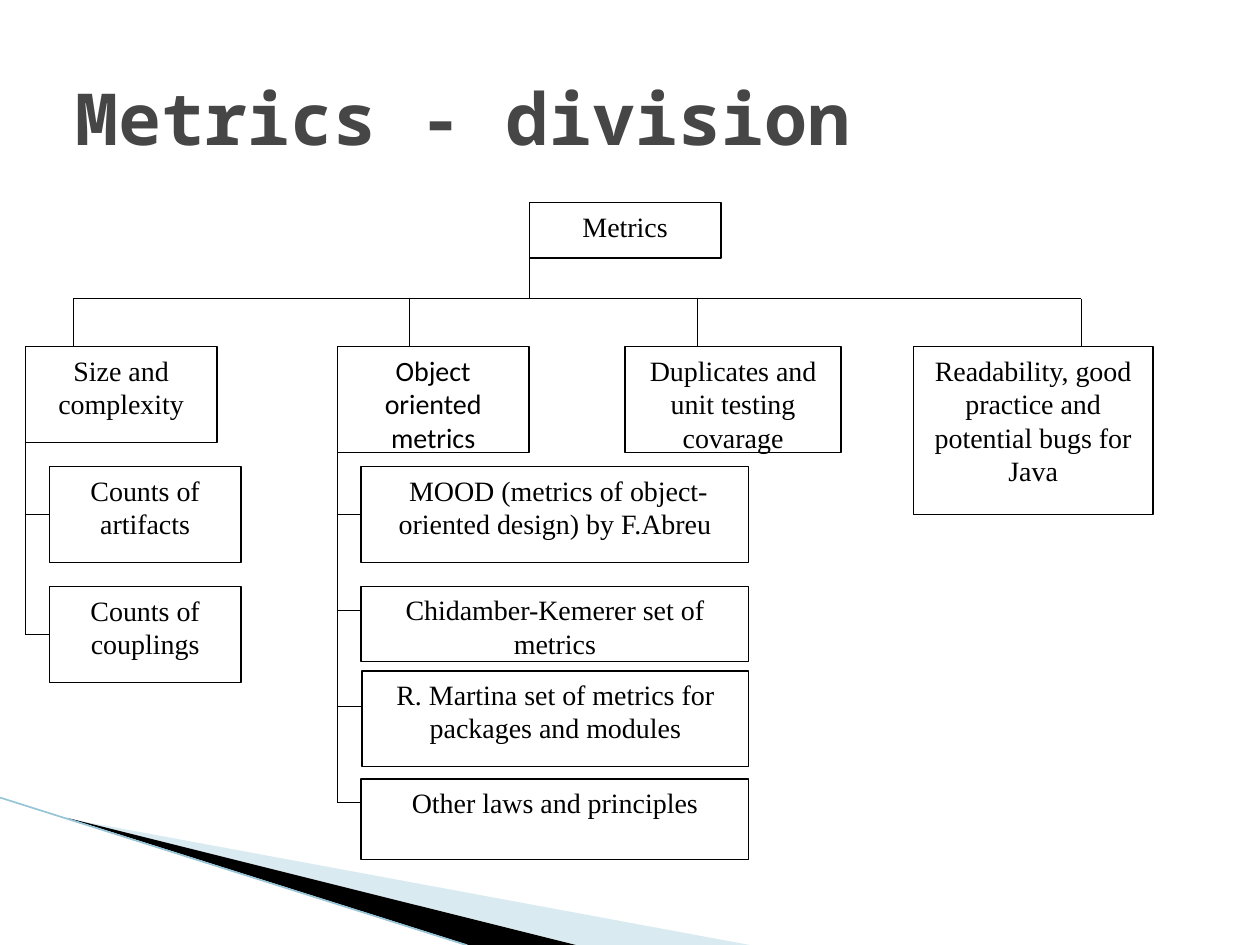
from lxml.etree import SubElement
from pptx import Presentation
from pptx.dml.color import RGBColor
from pptx.enum.shapes import MSO_CONNECTOR, MSO_SHAPE
from pptx.enum.text import MSO_ANCHOR, PP_ALIGN
from pptx.oxml.ns import qn
from pptx.util import Inches, Pt

# The chart sits on a square grid: 21 steps to 4 inches
STEP = 4 / 21
LEFT, TOP = 0.2, 1.61
SERIF = "Times New Roman"
LEFT_SIDE = 1

# text: column, row, columns wide, rows high
BOXES = {
    "Size and complexity": (0, 6, 8, 4),
    "Object oriented metrics": (13, 6, 8, 4.4),
    "Metrics": (21, 0, 8, 2.3),
    "Duplicates and unit testing covarage": (25, 6, 9, 4.4),
    "Counts of artifacts": (1, 11, 8, 4),
    "Counts of couplings": (1, 16, 8, 4),
    " MOOD (metrics of object-oriented design) by F.Abreu": (14, 11, 16.15, 4),
    "Chidamber-Kemerer set of metrics": (14, 16, 16.15, 3.1),
    "R. Martina set of metrics for packages and modules": (14.03, 19.5, 16.12, 4),
    "Other laws and principles": (14, 24, 16.15, 3.35),
    "Readability, good practice and potential bugs for Java": (37, 6, 10, 7),
}
BRANCH_COLUMNS = (2, 16, 28, 44)
BAR_ROW, BRANCH_ROW = 4, 6


def color(value):
    return RGBColor.from_string(value)


def grid_x(column):
    return Inches(LEFT + column * STEP)


def grid_y(row):
    return Inches(TOP + row * STEP)


def add_run(paragraph, text, font, size, fill, bold=False):
    run = paragraph.add_run()
    run.text = text
    run.font.name = font
    run.font.size = Pt(size)
    run.font.bold = bold
    run.font.color.rgb = color(fill)


def add_line(slide, start, end, line_color="000000", width=0.75):
    connector = slide.shapes.add_connector(MSO_CONNECTOR.STRAIGHT, *start, *end)
    connector.line.color.rgb = color(line_color)
    connector.line.width = Pt(width)
    SubElement(connector._element.spPr, qn("a:effectLst"))
    return connector


def add_grid_line(slide, column, row, end_column, end_row):
    return add_line(slide, (grid_x(column), grid_y(row)),
                    (grid_x(end_column), grid_y(end_row)))


def add_wedge(slide, points, fill, opacity=100):
    corners = [(Inches(x), Inches(y)) for x, y in points]
    builder = slide.shapes.build_freeform(*corners[0])
    builder.add_line_segments(corners[1:], close=True)
    shape = builder.convert_to_shape()
    shape.shadow.inherit = False
    shape.fill.solid()
    shape.fill.fore_color.rgb = color(fill)
    shape.line.fill.background()
    if opacity < 100:
        tint = shape._element.spPr.find(qn("a:solidFill"))[0]
        SubElement(tint, qn("a:alpha")).set("val", str(opacity * 1000))


def add_box(slide, text, column, row, columns, rows, font=SERIF, space_after=0):
    shape = slide.shapes.add_shape(
        MSO_SHAPE.RECTANGLE, grid_x(column), grid_y(row),
        Inches(columns * STEP), Inches(rows * STEP))
    shape.shadow.inherit = False
    shape.fill.solid()
    shape.fill.fore_color.rgb = color("FFFFFF")
    shape.line.color.rgb = color("000000")
    shape.line.width = Pt(0.75)
    frame = shape.text_frame
    frame.word_wrap = True
    frame.vertical_anchor = MSO_ANCHOR.TOP
    paragraph = frame.paragraphs[0]
    paragraph.alignment = PP_ALIGN.CENTER
    paragraph.space_after = Pt(space_after)
    add_run(paragraph, text, font, 16, "000000")
    return shape


def add_title(slide, text):
    title = slide.shapes.title
    title.left, title.top = Inches(0.5), Inches(0.3)
    title.width, title.height = Inches(9), Inches(1.25)
    title.text_frame.vertical_anchor = MSO_ANCHOR.MIDDLE
    paragraph = title.text_frame.paragraphs[0]
    paragraph.alignment = PP_ALIGN.LEFT
    add_run(paragraph, text, "Noto Sans Mono", 41, "464646", bold=True)


def add_decoration(slide):
    add_wedge(slide, [(0.55, 6.5), (5.95, 7.5), (4.56, 7.5)], "A0CBDC", 40)
    add_wedge(slide, [(0.53, 6.49), (4.57, 7.5), (3.72, 7.5)], "000000")
    add_line(slide, (0, Inches(6.33)), (Inches(3.7), Inches(7.5)), "97C5D8", 0.95)


def add_boxes(slide):
    boxes = {}
    for text, place in BOXES.items():
        style = {}
        if text == "Object oriented metrics":
            style = {"font": "Calibri", "space_after": 10}
        boxes[text] = add_box(slide, text, *place, **style)
    return boxes


def add_lines(slide, boxes):
    # Root, bar and the four branches
    add_grid_line(slide, 21, 2, 21, BAR_ROW)
    add_grid_line(slide, BRANCH_COLUMNS[0], BAR_ROW, BRANCH_COLUMNS[-1], BAR_ROW)
    for column in BRANCH_COLUMNS:
        add_grid_line(slide, column, BAR_ROW, column, BRANCH_ROW)

    # Trunks down from the branch boxes
    trunk = add_grid_line(slide, 0, 8, 0, 18)
    trunk.begin_connect(boxes["Size and complexity"], LEFT_SIDE)
    add_grid_line(slide, 13, 10, 13, 25)
    add_grid_line(slide, 25, 9, 25, 8)

    # Stubs to the sub-items, joined where they meet the middle of a side
    stubs = [
        (0, 13, "Counts of artifacts"),
        (0, 18, "Counts of couplings"),
        (13, 13, " MOOD (metrics of object-oriented design) by F.Abreu"),
        (13, 17, None),
        (13, 21, None),
        (13, 25, None),
    ]
    for column, row, target in stubs:
        stub = add_grid_line(slide, column, row, column + 1, row)
        if target:
            stub.end_connect(boxes[target], LEFT_SIDE)


def main():
    presentation = Presentation()
    presentation.slide_width, presentation.slide_height = Inches(10), Inches(7.5)
    slide = presentation.slides.add_slide(presentation.slide_layouts[5])
    add_decoration(slide)
    add_title(slide, "Metrics - division")
    boxes = add_boxes(slide)
    add_lines(slide, boxes)
    presentation.save("out.pptx")


if __name__ == "__main__":
    main()
